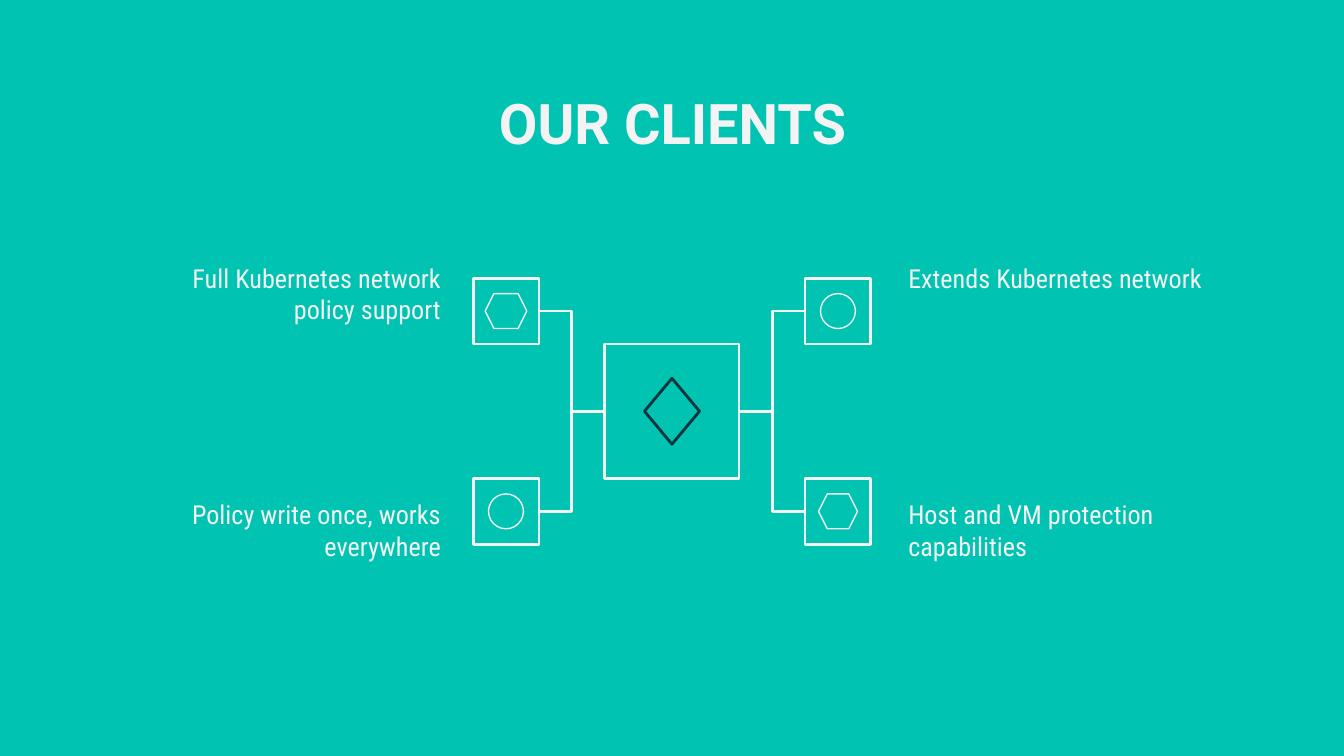
import pptx
import pptx.util
from pptx.dml.color import RGBColor
from pptx.enum.shapes import MSO_CONNECTOR, MSO_SHAPE
from pptx.enum.text import MSO_ANCHOR, MSO_AUTO_SIZE, PP_ALIGN
from pptx.oxml import parse_xml
from pptx.oxml.ns import nsdecls

TEAL = RGBColor(0x00, 0xC3, 0xB1)
OFF_WHITE = RGBColor(0xF3, 0xF3, 0xF3)
DARK = RGBColor(0x0C, 0x34, 0x3D)
Inches, Pt = pptx.util.Inches, pptx.util.Pt

presentation = pptx.Presentation()
presentation.slide_width = Inches(10)
presentation.slide_height = Inches(10 * 9 / 16)
slide = presentation.slides.add_slide(presentation.slide_layouts[5])
slide.background.fill.solid()
slide.background.fill.fore_color.rgb = TEAL

# The diagram is symmetrical about the hub; nodes touch the hub's rows
# and stand one node's width away from its sides.
CENTER_X, CENTER_Y = 5, 3.06
HUB, NODE = 1, 0.49
COLUMN = HUB / 2 + NODE + NODE / 2
ROW = HUB / 2 + NODE / 2


def add_outline(kind, x, y, width, height, color=OFF_WHITE, weight=1.5):
    """Add an unfilled shape centred on x, y."""
    shape = slide.shapes.add_shape(kind, Inches(x - width / 2), Inches(y - height / 2),
                                   Inches(width), Inches(height))
    shape.shadow.inherit = False
    shape.fill.background()
    shape.line.color.rgb = color
    shape.line.width = Pt(weight)


def write_text(shape, text, font_name, size, alignment):
    frame = shape.text_frame
    frame.word_wrap = True
    frame.auto_size = MSO_AUTO_SIZE.NONE
    frame.vertical_anchor = MSO_ANCHOR.TOP
    frame.margin_left = frame.margin_right = Inches(0.1)
    frame.margin_top = frame.margin_bottom = Inches(0.1)
    paragraph = frame.paragraphs[0]
    paragraph.text = text
    paragraph.alignment = alignment
    paragraph.font.name = font_name
    paragraph.font.size = Pt(size)
    paragraph.font.color.rgb = OFF_WHITE
    return paragraph


title = slide.shapes.title
title.left, title.top = Inches(0.79), Inches(0.56)
title.width, title.height = Inches(8.43), Inches(0.63)
write_text(title, "OUR CLIENTS", "Roboto", 30, PP_ALIGN.CENTER).font.bold = True

add_outline(MSO_SHAPE.RECTANGLE, CENTER_X, CENTER_Y, HUB, HUB)
add_outline(MSO_SHAPE.DIAMOND, CENTER_X, CENTER_Y, 0.41, 0.49, DARK)

# Side (-1 left, 1 right), row (-1 upper, 1 lower), text, symbol, symbol width
clients = [
    (-1, -1, "Full Kubernetes network policy support", MSO_SHAPE.HEXAGON, 0.31),
    (1, -1, "Extends Kubernetes network", MSO_SHAPE.OVAL, 0.26),
    (-1, 1, "Policy write once, works everywhere", MSO_SHAPE.OVAL, 0.26),
    (1, 1, "Host and VM protection capabilities", MSO_SHAPE.HEXAGON, 0.29),
]
for side, row, text, symbol, symbol_width in clients:
    x, y = CENTER_X + side * COLUMN, CENTER_Y + row * ROW
    add_outline(MSO_SHAPE.RECTANGLE, x, y, NODE, NODE)
    add_outline(symbol, x, y, symbol_width, 0.26, weight=0.75)

    connector = slide.shapes.add_connector(
        MSO_CONNECTOR.ELBOW,
        Inches(CENTER_X + side * HUB / 2), Inches(CENTER_Y),
        Inches(x - side * NODE / 2), Inches(y))
    connector.line.color.rgb = OFF_WHITE
    connector.line.width = Pt(1.5)
    connector._element.spPr.append(parse_xml(f"<a:effectLst {nsdecls('a')}/>"))

    left, width = (0.94, 2.44) if side < 0 else (6.66, 2.4)
    top, height = (1.85, 0.49) if row < 0 else (3.61, 0.77)
    label = slide.shapes.add_textbox(Inches(left), Inches(top), Inches(width), Inches(height))
    alignment = PP_ALIGN.RIGHT if side < 0 else PP_ALIGN.LEFT
    write_text(label, text, "Roboto Condensed", 14, alignment).space_after = Pt(16)

presentation.save("out.pptx")
